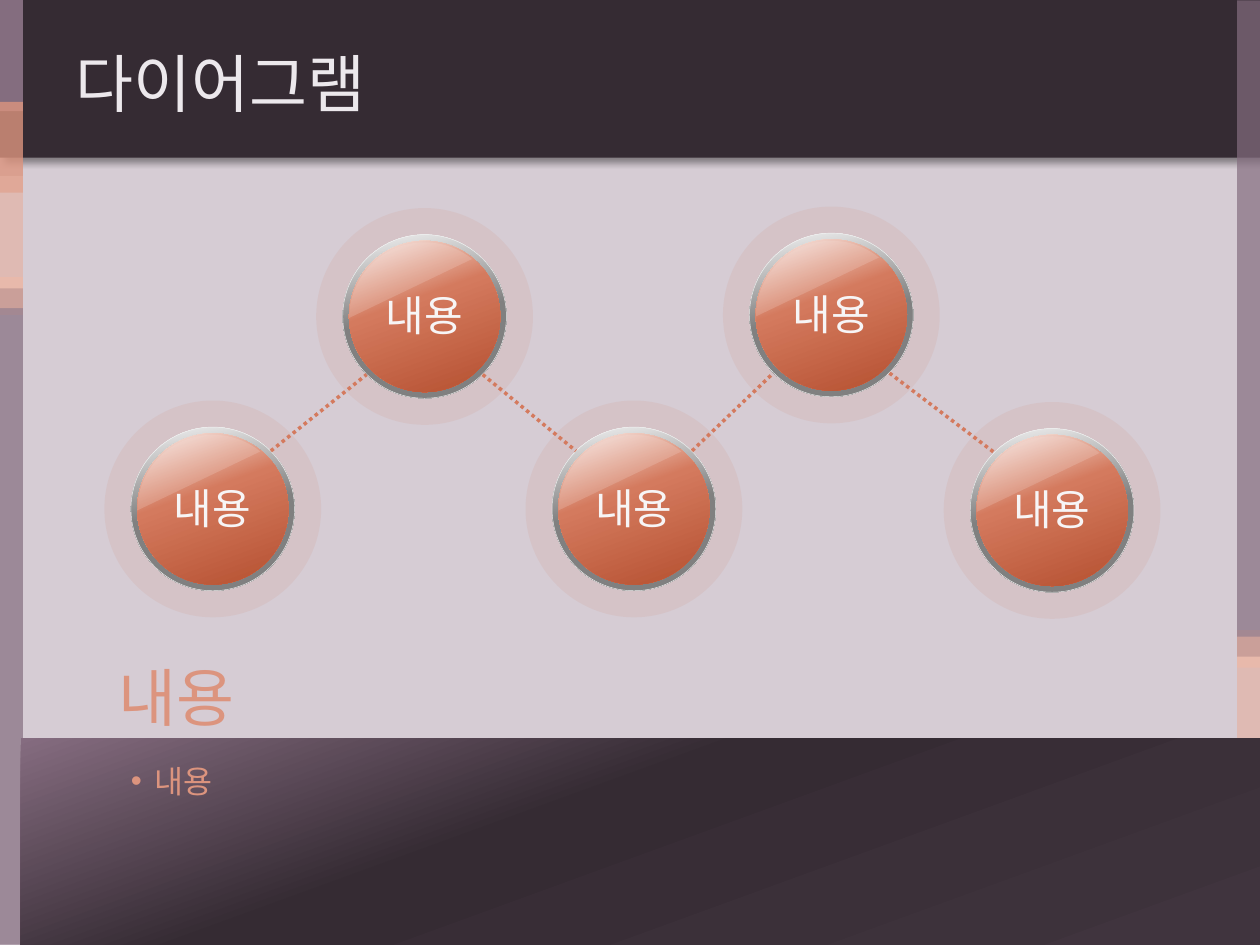
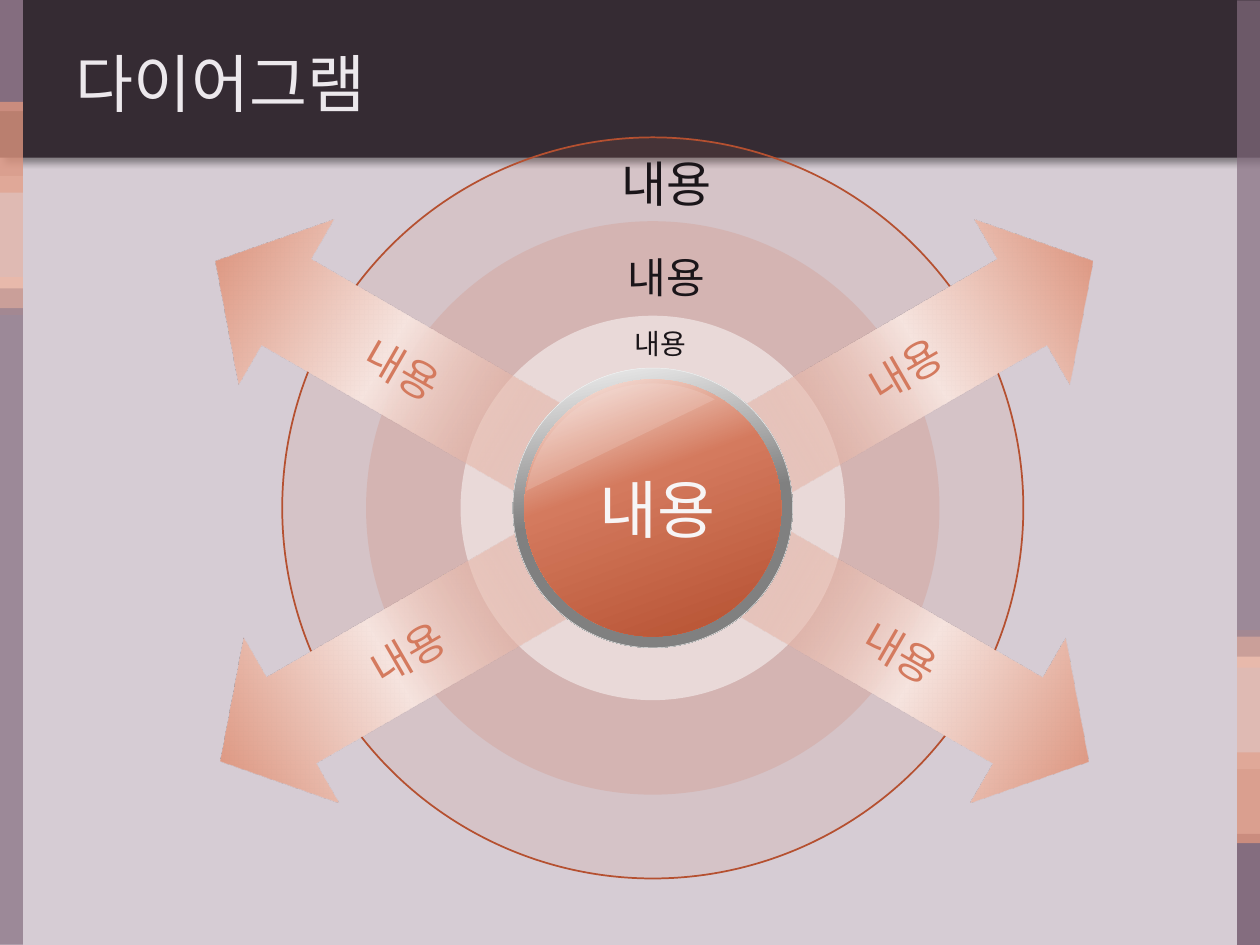
from lxml import etree
from pptx import Presentation
from pptx import util as u
from pptx.dml.color import RGBColor
from pptx.enum import dml, shapes, text
from pptx.oxml.ns import qn

# Colours
PALE_MAUVE = RGBColor(0xD6, 0xCC, 0xD4)
DARK_PLUM = RGBColor(0x35, 0x2B, 0x33)
SOFT_PLUM = RGBColor(0x40, 0x34, 0x3E)
MAUVE = RGBColor(0x84, 0x6D, 0x7F)
LIGHT_PLUM = RGBColor(0x85, 0x6C, 0x80)
TITLE_TINT = RGBColor(0xEC, 0xE8, 0xEC)
LABEL_TINT = RGBColor(0xF7, 0xF5, 0xF6)
INK = RGBColor(0x1A, 0x15, 0x19)
RUST = RGBColor(0xB5, 0x50, 0x30)
CORAL = RGBColor(0xD4, 0x7A, 0x5E)
SALMON = RGBColor(0xDC, 0x94, 0x7E)
PEACH = RGBColor(0xE5, 0xAF, 0x9E)
PALE_PEACH = RGBColor(0xEE, 0xCA, 0xBF)
CREAM = RGBColor(0xF6, 0xE4, 0xDF)
GLOSS = RGBColor(0xFB, 0xF2, 0xEF)
SILVER = RGBColor(0xF2, 0xF2, 0xF2)
GREY = RGBColor(0x80, 0x80, 0x80)
WHITE = RGBColor(0xFF, 0xFF, 0xFF)

# Gradients: stops of (percent, colour, opacity percent) and a clockwise angle
PANEL = ([(0, LIGHT_PLUM, 100), (40, DARK_PLUM, 100), (100, SOFT_PLUM, 100)], 70)
METAL = ([(0, SILVER, 100), (50, GREY, 100), (100, GREY, 100)], 80)
GLASS = ([(0, GLOSS, 100), (40, CORAL, 100), (100, RUST, 100)], 70)
FADE = ([(0, CORAL, 0), (50, CREAM, 100), (100, CORAL, 100)], 0)

WIDTH, HEIGHT = 25.4, 19.05
TITLE = "다이어그램"
LABEL = "내용"
KIND = shapes.MSO_SHAPE
ALIGN = text.PP_ALIGN
ANCHOR = text.MSO_ANCHOR

# Side strips on the left edge: length, centre y, colour, opacity
STRIPS = [
    (0.76, 5.97, PALE_PEACH, 100),
    (13.23, 12.43, MAUVE, 70),
    (2.24, 1.12, MAUVE, 100),
    (1.83, 2.97, SALMON, 80),
    (2.67, 4.88, PEACH, 60),
]


def set_alpha(colour_element, opacity):
    if opacity < 100:
        etree.SubElement(colour_element, qn("a:alpha"), val=str(opacity * 1000))


def fill_solid(shape, colour, opacity=100):
    shape.fill.solid()
    shape.fill.fore_color.rgb = colour
    set_alpha(shape._element.spPr.find(".//" + qn("a:srgbClr")), opacity)


def fill_gradient(shape, gradient):
    stops, angle = gradient
    shape.fill.gradient()
    shape.fill.gradient_angle = 360 - angle
    stop_list = shape._element.spPr.find(".//" + qn("a:gsLst"))
    for stop in list(stop_list):
        stop_list.remove(stop)
    for position, colour, opacity in stops:
        stop = etree.SubElement(stop_list, qn("a:gs"), pos=str(position * 1000))
        set_alpha(etree.SubElement(stop, qn("a:srgbClr"), val=str(colour)), opacity)


def add_centred(parent, kind, centre, size, rotation=0):
    """Add a preset shape round its centre, without line or shadow."""
    (x, y), (width, height) = centre, size
    shape = parent.shapes.add_shape(kind, u.Cm(x - width / 2), u.Cm(y - height / 2),
                                    u.Cm(width), u.Cm(height))
    shape.rotation = rotation
    shape.shadow.inherit = False
    shape.line.fill.background()
    return shape


def add_disc(parent, centre, diameter):
    return add_centred(parent, KIND.OVAL, centre, (diameter, diameter))


def set_line(shape, colour, points):
    shape.line.color.rgb = colour
    shape.line.width = u.Pt(points)


def add_run(paragraph, words, size, colour, font="Lato"):
    run = paragraph.add_run()
    run.text = words
    run.font.name = font
    run.font.size = u.Pt(size)
    run.font.color.rgb = colour


def add_text(slide, box, size, colour, align=ALIGN.LEFT, wrap=True):
    shape = slide.shapes.add_textbox(*[u.Cm(length) for length in box])
    frame = shape.text_frame
    frame.word_wrap = wrap
    frame.auto_size = text.MSO_AUTO_SIZE.SHAPE_TO_FIT_TEXT
    frame.paragraphs[0].alignment = align
    add_run(frame.paragraphs[0], LABEL, size, colour)
    return frame


def add_title_band(slide):
    band = add_centred(slide, KIND.RECTANGLE, (WIDTH / 2, 1.59), (WIDTH, 3.18))
    fill_solid(band, DARK_PLUM)
    effects = band._element.spPr.find(qn("a:effectLst"))
    shadow = etree.SubElement(effects, qn("a:outerShdw"), blurRad=str(u.Pt(4)),
                              dist=str(u.Pt(3)), dir=str(45 * 60000),
                              algn="tl", rotWithShape="0")
    set_alpha(etree.SubElement(shadow, qn("a:srgbClr"), val="000000"), 40)


def add_side_strips(slide):
    """The right edge is the left edge turned by half a turn."""
    for on_right in (True, False):
        group = slide.shapes.add_group_shape()
        for length, y, colour, opacity in STRIPS:
            centre = (WIDTH - 0.23, HEIGHT - y) if on_right else (0.23, y)
            strip = add_centred(group, KIND.RECTANGLE, centre, (length, 0.46),
                                270 if on_right else 90)
            fill_solid(strip, colour, opacity)


def add_titled_slide(presentation):
    slide = presentation.slides.add_slide(presentation.slide_layouts[5])
    slide.background.fill.solid()
    slide.background.fill.fore_color.rgb = PALE_MAUVE
    add_title_band(slide)
    add_side_strips(slide)
    # The title stands in front of its band
    title = slide.shapes.title
    slide.shapes._spTree.append(title._element)
    title.left, title.top = u.Cm(1.27), u.Cm(0.53)
    title.width, title.height = u.Cm(22.86), u.Cm(2.24)
    title.text_frame.vertical_anchor = ANCHOR.MIDDLE
    paragraph = title.text_frame.paragraphs[0]
    paragraph.alignment = ALIGN.LEFT
    add_run(paragraph, TITLE, 36, TITLE_TINT, "Arial")
    return slide


def add_orb(slide, centre, rim_size, ball_size, gloss_drop, gloss_angles, halo_size=None):
    """A glass ball in a metal rim, with an optional halo."""
    group = slide.shapes.add_group_shape()
    if halo_size:
        fill_solid(add_disc(group, centre, halo_size), CORAL, 10)
    rim = add_disc(group, centre, rim_size)
    fill_gradient(rim, METAL)
    set_line(rim, SILVER, 0.25)
    fill_gradient(add_disc(group, centre, ball_size), GLASS)
    x, y = centre
    gloss = add_centred(group, KIND.CHORD, (x, y + gloss_drop), (ball_size, ball_size), 90)
    for index, angle in enumerate(gloss_angles):
        gloss.adjustments[index] = angle
    fill_solid(gloss, CREAM, 20)


def add_dotted_line(slide, start, end):
    points = [u.Cm(length) for length in (*start, *end)]
    connector = slide.shapes.add_connector(shapes.MSO_CONNECTOR.STRAIGHT, *points)
    set_line(connector, CORAL, 2)
    connector.line.dash_style = dml.MSO_LINE.ROUND_DOT
    etree.SubElement(connector._element.spPr, qn("a:effectLst"))


def add_arrow(slide, centre, rotation, flip):
    arrow = add_centred(slide, KIND.RIGHT_ARROW, centre, (7.87, 3.84), rotation)
    arrow.adjustments[0], arrow.adjustments[1] = 0.52, 0.43
    if flip:
        arrow._element.spPr.find(qn("a:xfrm")).set(flip, "1")
    fill_gradient(arrow, FADE)
    frame = arrow.text_frame
    frame.word_wrap = False
    frame.vertical_anchor = ANCHOR.MIDDLE
    frame.paragraphs[0].alignment = ALIGN.CENTER
    add_run(frame.paragraphs[0], LABEL, 24, CORAL)


def build_zigzag(presentation):
    slide = add_titled_slide(presentation)
    panel = add_centred(slide, KIND.RECTANGLE, (12.91, 16.97), (24.99, 4.17))
    fill_gradient(panel, PANEL)

    # Orbs from left to right, low and high in turn
    centres = [(4.29, 10.26), (8.56, 6.38), (12.78, 10.26), (16.76, 6.35), (21.21, 10.29)]
    for x, y in centres:
        add_orb(slide, (x, y), 3.3, 3.05, 0.03, (53.946, 131.298), halo_size=4.37)
        add_text(slide, (x - 1.48, y - 0.66, 2.95, 1.27), 24, LABEL_TINT, ALIGN.CENTER)

    # Lines leave each rim at 45 degrees
    reach = 1.17
    for (x1, y1), (x2, y2) in zip(centres, centres[1:]):
        step = reach if y2 > y1 else -reach
        add_dotted_line(slide, (x1 + reach, y1 + step), (x2 - reach, y2 - step))

    # Heading and bullet below the diagram
    bullet = add_text(slide, (2.39, 15.24, 20.22, 3.3), 18, SALMON)
    properties = bullet.paragraphs[0]._p.get_or_add_pPr()
    properties.set("marL", str(u.Cm(0.48)))
    properties.set("indent", str(-u.Cm(0.48)))
    etree.SubElement(properties, qn("a:buFont"), typeface="Arial")
    etree.SubElement(properties, qn("a:buChar"), char="•")

    heading = add_text(slide, (2.39, 13.28, 20.62, 1.52), 36, SALMON)
    heading.vertical_anchor = ANCHOR.BOTTOM
    heading.margin_left = heading.margin_right = 0
    heading.margin_top = heading.margin_bottom = 0


def build_target(presentation):
    slide = add_titled_slide(presentation)
    centre = (13.16, 10.24)

    # Concentric rings
    rings = slide.shapes.add_group_shape()
    for diameter, colour, opacity in [(14.94, CORAL, 10), (11.56, CORAL, 20), (7.75, WHITE, 50)]:
        fill_solid(add_disc(rings, centre, diameter), colour, opacity)
    set_line(rings.shapes[0], RUST, 1)

    # Arrows pointing outwards
    for arrow_centre, rotation, flip in [
        ((18.54, 13.37), 30.1, None),
        ((18.62, 7.23), 330, None),
        ((7.85, 13.37), 150, "flipV"),
        ((7.75, 7.23), 30, "flipH"),
    ]:
        add_arrow(slide, arrow_centre, rotation, flip)

    add_orb(slide, centre, 5.64, 5.18, 0.08, (59.629, 125.316))

    # Labels from the core outwards
    for box, size, colour in [
        ((11.84, 9.37, 3.05, 1.8), 36, LABEL_TINT),
        ((12.55, 6.45, 1.68, 0.94), 16, INK),
        ((12.4, 4.95, 2.21, 1.24), 24, INK),
        ((12.27, 2.97, 2.51, 1.45), 28, INK),
    ]:
        add_text(slide, box, size, colour, wrap=False)


def main():
    presentation = Presentation()
    presentation.slide_width, presentation.slide_height = u.Cm(WIDTH), u.Cm(HEIGHT)
    build_zigzag(presentation)
    build_target(presentation)
    presentation.save("out.pptx")


main()
